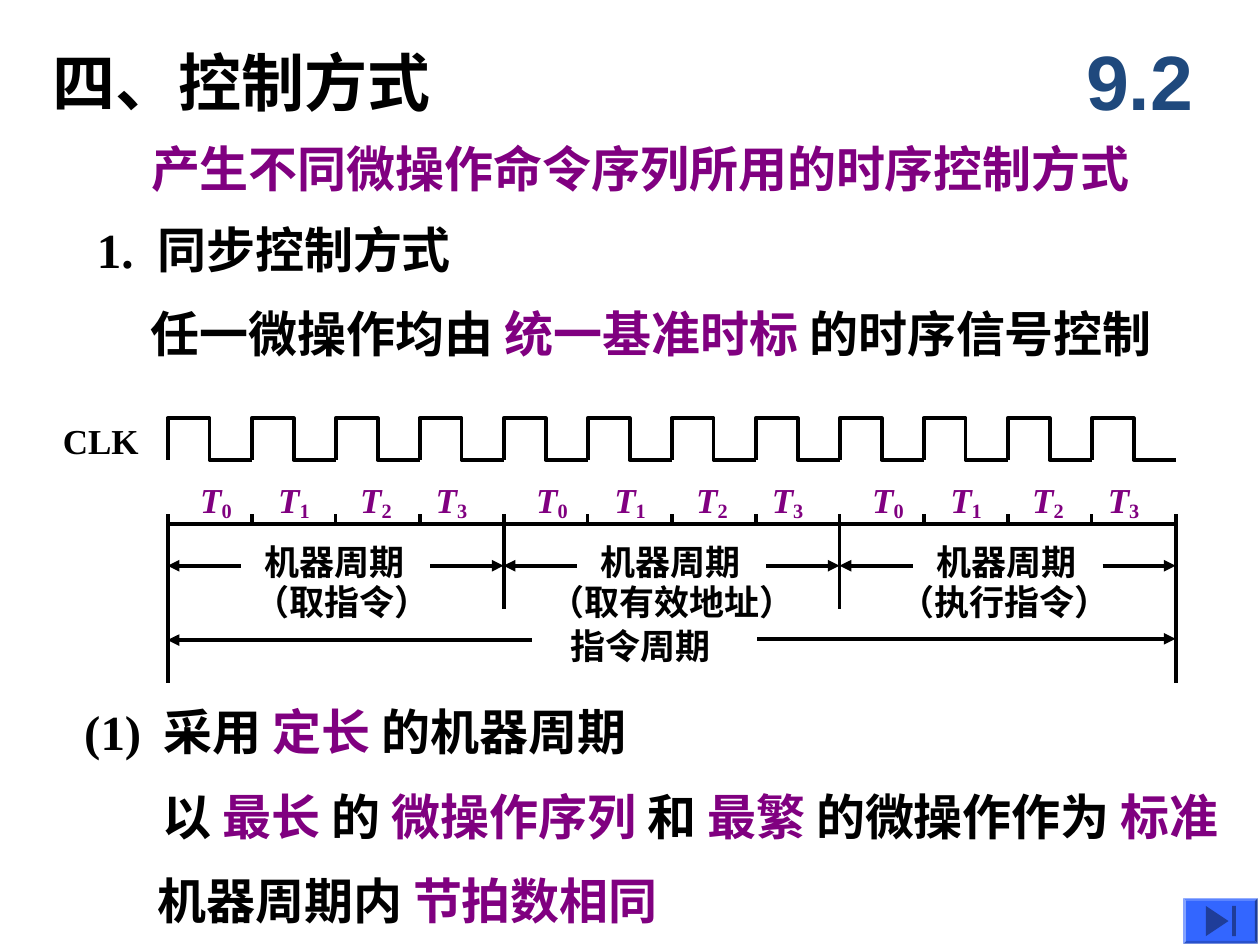
import pptx
import pptx.util
import pptx.dml.color
import pptx.enum.shapes
import pptx.enum.text
import pptx.oxml
import pptx.oxml.ns

Inches = pptx.util.Inches
Pt = pptx.util.Pt
RGBColor = pptx.dml.color.RGBColor
SHAPE = pptx.enum.shapes.MSO_SHAPE

BLACK = RGBColor(0x00, 0x00, 0x00)
PURPLE = RGBColor(0x80, 0x00, 0x80)
NAVY = RGBColor(0x1F, 0x49, 0x7D)
BLUE = RGBColor(0x33, 0x66, 0xFF)
DARK_BLUE = RGBColor(0x1F, 0x3D, 0x99)


def add_run(p, text, size=28, color=BLACK, font="Times New Roman", italic=False, baseline=0):
    r = p.add_run()
    r.text = text
    r.font.name = font
    r.font.size = Pt(size)
    r.font.bold = True
    r.font.italic = italic
    r.font.color.rgb = color
    if baseline:
        r.font._element.set("baseline", str(baseline * 1000))


class Deck:
    """Holds the line style and the current slide."""

    def __init__(self, slide, line_color=BLACK, line_width=2.25):
        self.shapes = slide.shapes
        self.line_color = line_color
        self.line_width = Pt(line_width)

    def title(self, text, x, y, w, h):
        sp = self.shapes.title
        sp.left, sp.top, sp.width, sp.height = map(Inches, (x, y, w, h))
        tf = sp.text_frame
        tf.auto_size = pptx.enum.text.MSO_AUTO_SIZE.NONE
        tf.vertical_anchor = pptx.enum.text.MSO_ANCHOR.MIDDLE
        p = tf.paragraphs[0]
        p.alignment = pptx.enum.text.PP_ALIGN.CENTER
        add_run(p, text, size=44, color=NAVY, font="Arial")

    def text(self, x, y, w, h, *runs, wrap=False, tab=None, **style):
        """Each run is a string or a (string, format) pair."""
        sp = self.shapes.add_textbox(Inches(x), Inches(y), Inches(w), Inches(h))
        tf = sp.text_frame
        tf.word_wrap = wrap
        tf.auto_size = pptx.enum.text.MSO_AUTO_SIZE.SHAPE_TO_FIT_TEXT
        p = tf.paragraphs[0]
        if tab:
            tabs = pptx.oxml.parse_xml(
                f'<a:tabLst {pptx.oxml.ns.nsdecls("a")}>'
                f'<a:tab pos="{Inches(tab)}" algn="l"/></a:tabLst>')
            p._p.get_or_add_pPr().append(tabs)
        for run in runs:
            text, own = (run, {}) if isinstance(run, str) else run
            add_run(p, text, **{**style, **own})

    def line(self, x1, y1, x2, y2, arrow=False):
        c = self.shapes.add_connector(
            pptx.enum.shapes.MSO_CONNECTOR.STRAIGHT,
            Inches(x1), Inches(y1), Inches(x2), Inches(y2))
        c.line.color.rgb = self.line_color
        c.line.width = self.line_width
        if arrow:
            ln = c.line._get_or_add_ln()
            ln.append(pptx.oxml.parse_xml(
                f'<a:tailEnd {pptx.oxml.ns.nsdecls("a")} type="triangle"/>'))
        c._element.spPr.append(pptx.oxml.parse_xml(
            f'<a:effectLst {pptx.oxml.ns.nsdecls("a")}/>'))

    def polyline(self, points):
        pts = [(Inches(x), Inches(y)) for x, y in points]
        fb = self.shapes.build_freeform(*pts[0])
        fb.add_line_segments(pts[1:], close=False)
        sp = fb.convert_to_shape()
        sp.shadow.inherit = False
        sp.fill.background()
        sp.line.color.rgb = self.line_color
        sp.line.width = self.line_width

    def shape(self, kind, x, y, w, h, color):
        sp = self.shapes.add_shape(kind, Inches(x), Inches(y), Inches(w), Inches(h))
        sp.shadow.inherit = False
        sp.fill.solid()
        sp.fill.fore_color.rgb = color
        sp.line.fill.background()
        return sp


def main():
    prs = pptx.Presentation()
    prs.slide_width, prs.slide_height = Inches(10), Inches(7.5)
    s = Deck(prs.slides.add_slide(prs.slide_layouts[5]))
    key = {"color": PURPLE}

    # Headings
    s.title("9.2", 8.42, 0.17, 1.25, 0.92)
    s.text(0.32, 0.3, 3.2, 0.7, "四、控制方式", size=36)
    s.text(1.1, 1.05, 8.02, 0.57, "产生不同微操作命令序列所用的时序控制方式", **key)
    s.text(0.67, 1.69, 4.08, 0.57, "1.\t同步控制方式", wrap=True, tab=0.48)
    s.text(1.1, 2.36, 8.2, 0.57,
           "任一微操作均由 ", ("统一基准时标 ", key), "的时序信号控制")

    # Clock wave
    left, beat, beats, cycles = 1.33, 2 / 3, 4, 3
    cycle = beat * beats
    right = left + cycle * cycles
    high, low = 3.32, 3.65
    s.text(0.4, 3.28, 0.8, 0.44, "CLK", size=20)
    for i in range(beats * cycles):
        x = left + i * beat
        mid = x + beat / 2
        s.polyline([(x, low), (x, high), (mid, high), (mid, low), (x + beat, low)])

    # Time axis: short ticks for beats, long ones for cycles
    tick, axis, arrow_y = 4.08, 4.16, 4.49
    s.line(left, axis, right, axis)
    for i in range(beats * cycles + 1):
        x = left + i * beat
        if i in (0, beats * cycles):
            bottom = 5.42
        else:
            bottom = axis if i % beats else 4.83
        s.line(x, tick, x, bottom)

    # Machine cycles
    phases = [("（取指令）", 1.92, 1.59), ("（取有效地址）", 4.26, 2.15), ("（执行指令）", 7.04, 1.87)]
    for i, (phase, phase_x, phase_w) in enumerate(phases):
        x = left + i * cycle
        s.line(x + 0.58, arrow_y, x, arrow_y, arrow=True)
        s.line(x + cycle - 0.58, arrow_y, x + cycle, arrow_y, arrow=True)
        s.text(x + 0.67, 4.24, 1.31, 0.44, "机器周期", size=20)
        s.text(phase_x, 4.56, phase_w, 0.44, phase, size=20)
        for n, offset in enumerate((0.16, 0.78, 1.43, 2.03)):
            s.text(x + offset, 3.75, 0.45, 0.45, ("T", {"italic": True}),
                   (str(n), {"baseline": -15}), size=20, **key)

    # Instruction cycle
    s.line(4.22, 5.08, left, 5.08, arrow=True)
    s.line(6.01, 5.07, right, 5.07, arrow=True)
    s.text(4.43, 4.91, 1.31, 0.44, "指令周期", size=20)

    # Fixed-length machine cycle
    s.text(0.57, 5.52, 5.38, 0.57,
           "(1)\t采用 ", ("定长 ", key), "的机器周期", wrap=True, tab=0.63)
    s.text(1.19, 6.19, 8.66, 0.57,
           "以 ", ("最长 ", key), "的 ", ("微操作序列 ", key), "和 ",
           ("最繁 ", key), "的微操作作为 ", ("标准", key))
    s.text(1.15, 6.86, 5.51, 0.57, "机器周期内 ", ("节拍数相同", key), wrap=True)

    # Forward button
    button = s.shape(SHAPE.BEVEL, 9.39, 7.13, 0.59, 0.36, BLUE)
    button.adjustments[0] = 0.06
    arrow = s.shape(SHAPE.ISOSCELES_TRIANGLE, 9.54, 7.22, 0.24, 0.18, DARK_BLUE)
    arrow.rotation = 90
    s.shape(SHAPE.RECTANGLE, 9.78, 7.19, 0.03, 0.24, DARK_BLUE)

    prs.save("out.pptx")


if __name__ == "__main__":
    main()
